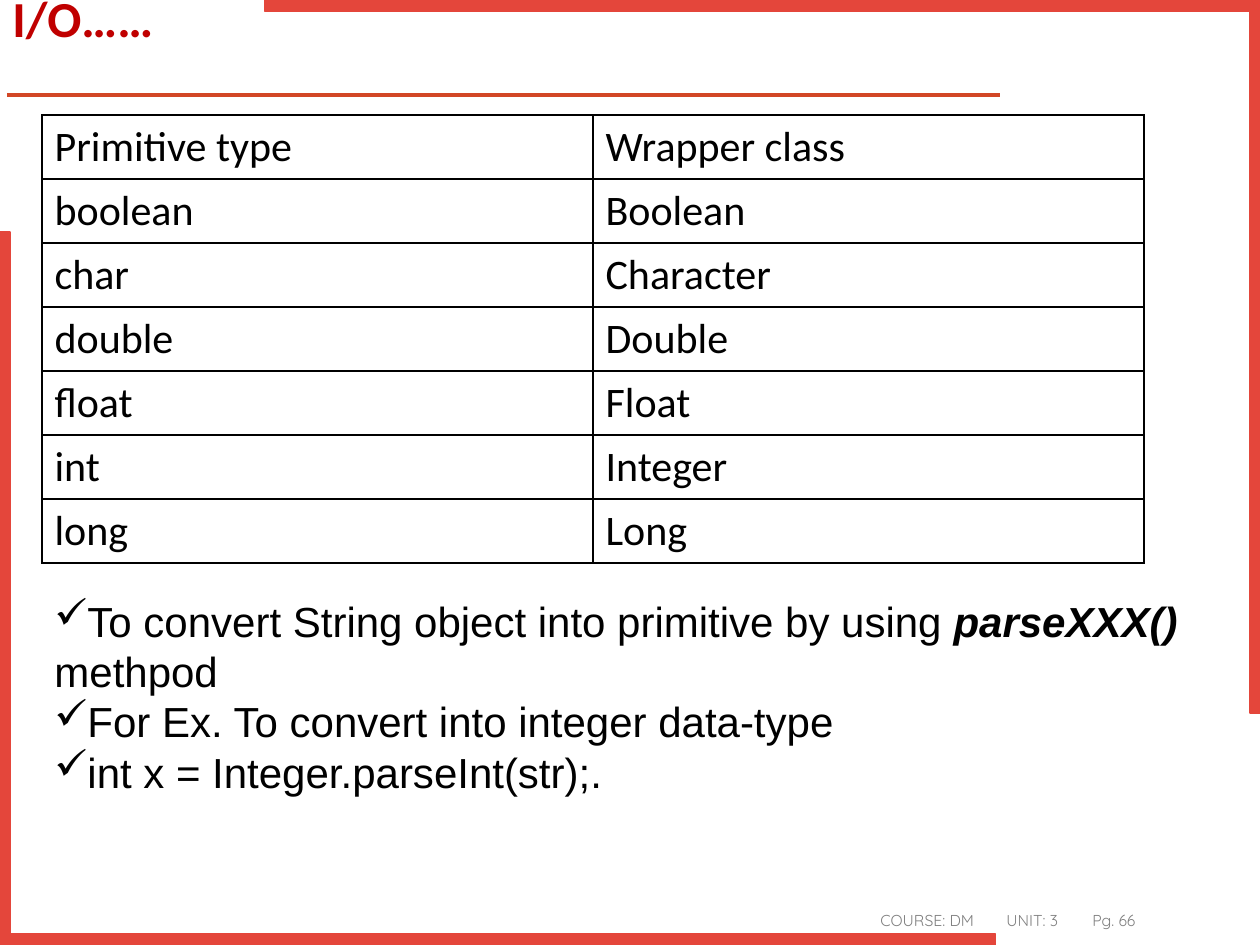
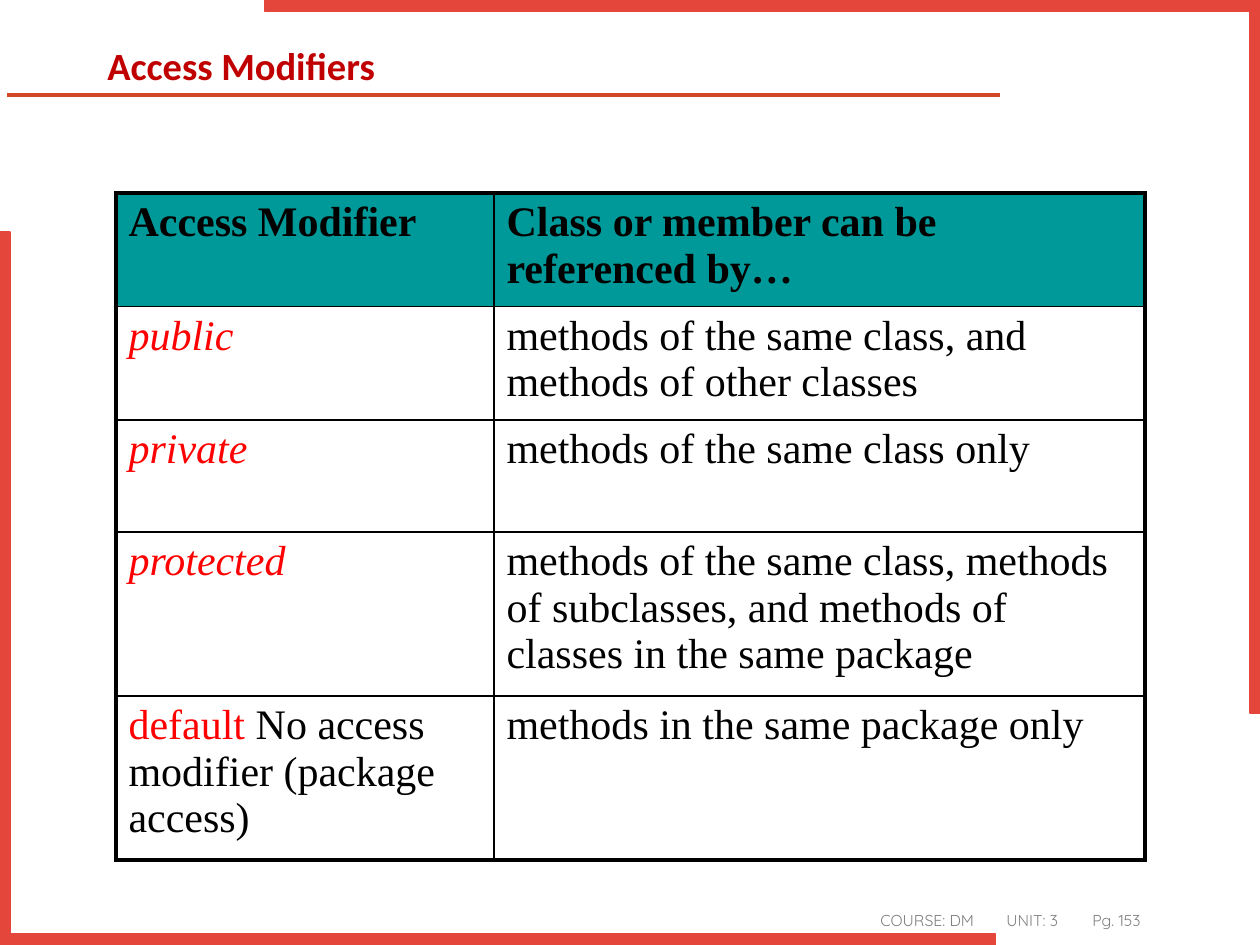
"""Build two Java lecture slides: wrapper classes and access modifiers."""
from lxml.etree import SubElement
from pptx import Presentation
from pptx.dml.color import RGBColor
from pptx.enum.shapes import MSO_CONNECTOR, MSO_SHAPE
from pptx.enum.text import MSO_ANCHOR
from pptx.oxml import parse_xml
from pptx.oxml.ns import nsdecls, qn
from pptx.util import Emu, Pt

W, H = 1260, 945
BAND, RULE, TITLE, MUTED = "E4463B", "D24726", "C00000", "808080"
INK, KEYWORD, HEADER = "000000", "FF0000", "009999"

WRAPPERS = [
    ("Primitive type", "Wrapper class"),
    ("boolean", "Boolean"),
    ("char", "Character"),
    ("double", "Double"),
    ("float", "Float"),
    ("int", "Integer"),
    ("long", "Long"),
]
NOTES = [
    [("To convert String object into primitive by using ", {}),
     ("parseXXX()", {"bold": True, "italic": True}),
     (" methpod", {})],
    [("For Ex. To convert into integer data-type", {})],
    [("int x = Integer.parseInt(str);.", {})],
]
RED_ITALIC = {"color": KEYWORD, "italic": True}
MODIFIERS = [
    ([("Access Modifier", {"bold": True})],
     [("Class or member can be referenced by…", {"bold": True})]),
    ([("public", RED_ITALIC)],
     [("methods of the same class, and methods of other classes", {})]),
    ([("private", RED_ITALIC)],
     [("methods of the same class only", {})]),
    ([("protected", RED_ITALIC)],
     [("methods of the same class, methods of subclasses, "
       "and methods of classes in the same package", {})]),
    ([("default", {"color": KEYWORD}), (" No access modifier (package access)", {})],
     [("methods in the same package only", {})]),
]


def px(n):
    return Emu(round(n * 914400 / 126))


def rgb(value):
    return RGBColor.from_string(value)


def add_run(p, text, font, size, color=INK, bold=False, italic=False):
    r = p.add_run()
    r.text = text
    r.font.name, r.font.size = font, Pt(size)
    r.font.bold, r.font.italic = bold, italic
    r.font.color.rgb = rgb(color)


def add_box(s, x, y, w, h, anchor=MSO_ANCHOR.TOP):
    tf = s.shapes.add_textbox(px(x), px(y), px(w), px(h)).text_frame
    tf.word_wrap = True
    tf.vertical_anchor = anchor
    return tf


def add_corner(s, x, y, rotation):
    sp = s.shapes.add_shape(MSO_SHAPE.CORNER, px(x), px(y), px(995), px(713))
    sp.adjustments[0], sp.adjustments[1] = 0.016, 0.014
    sp.rotation = rotation
    sp.shadow.inherit = False
    sp.fill.solid()
    sp.fill.fore_color.rgb = sp.line.color.rgb = rgb(BAND)
    sp.line.width = Pt(1)


def add_footer(s, page):
    p = add_box(s, 868, 905, 315, 28).paragraphs[0]
    tabs = SubElement(p._p.get_or_add_pPr(), qn("a:tabLst"))
    for stop in (126, 212):
        SubElement(tabs, qn("a:tab"), pos=str(px(stop)), algn="l")
    p.space_after = Pt(6)
    add_run(p, f"COURSE: DM\tUNIT: 3\tPg. {page}", "Quicksand", 9, MUTED)


def add_slide(prs, title, title_box, title_size, page):
    s = prs.slides.add_slide(prs.slide_layouts[6])
    rule = s.shapes.add_connector(MSO_CONNECTOR.STRAIGHT, px(7), px(95), px(1000), px(95))
    rule.line.color.rgb, rule.line.width = rgb(RULE), Pt(2)
    SubElement(rule._element.spPr, qn("a:effectLst"))
    add_corner(s, W - 995, 0, 180)
    add_corner(s, 0, H - 713, 0)
    add_footer(s, page)
    p = add_box(s, *title_box, MSO_ANCHOR.MIDDLE).paragraphs[0]
    p.line_spacing = 0.9
    add_run(p, title, "Calibri", title_size, TITLE, bold=True)
    return s


def set_borders(cell, widths):
    tc_pr = cell._tc.get_or_add_tcPr()
    for i, (side, width) in enumerate(zip("LRTB", widths)):
        tc_pr.insert(i, parse_xml(
            f'<a:ln{side} {nsdecls("a")} w="{int(Pt(width))}"><a:solidFill>'
            f'<a:srgbClr val="{INK}"/></a:solidFill></a:ln{side}>'))


def add_grid(s, x, y, cols, heights, rows, font, outer, header=None):
    frame = s.shapes.add_table(len(rows), len(cols), px(x), px(y),
                               px(sum(cols)), px(sum(heights)))
    table = frame.table
    table.first_row = table.horz_banding = False
    for col, width in zip(table.columns, cols):
        col.width = px(width)
    for i, row in enumerate(rows):
        table.rows[i].height = px(heights[i])
        for j, runs in enumerate(row):
            cell = table.cell(i, j)
            if header and i == 0:
                cell.fill.solid()
                cell.fill.fore_color.rgb = rgb(header)
            else:
                cell.fill.background()
            edges = (j == 0, j == len(cols) - 1, i == 0, i == len(rows) - 1)
            set_borders(cell, [outer if edge else 1 for edge in edges])
            for text, style in runs:
                add_run(cell.text_frame.paragraphs[0], text, font, 24, **style)


def add_checklist(s, x, y, w, h, items):
    tf = add_box(s, x, y, w, h)
    for i, runs in enumerate(items):
        p = tf.add_paragraph() if i else tf.paragraphs[0]
        SubElement(p._p.get_or_add_pPr(), qn("a:buChar"), char="✓")
        for text, style in runs:
            add_run(p, text, "Arial", 24, **style)


def main():
    prs = Presentation()
    prs.slide_width, prs.slide_height = px(W), px(H)

    s = add_slide(prs, "I/O……", (0, 0, W, 42), 28.8, 66)
    wrapper_rows = [[[(text, {})] for text in row] for row in WRAPPERS]
    add_grid(s, 42, 115, [551, 551], [64] * len(WRAPPERS), wrapper_rows, "Calibri", 1)
    add_checklist(s, 42, 589, 1176, 217, NOTES)

    s = add_slide(prs, "Access Modifiers", (95, 21, 1071, 95), 22, 153)
    add_grid(s, 116, 193, [378, 651], [113, 113, 112, 164, 164], MODIFIERS,
             "Times New Roman", 2.25, HEADER)

    prs.save("out.pptx")


if __name__ == "__main__":
    main()
